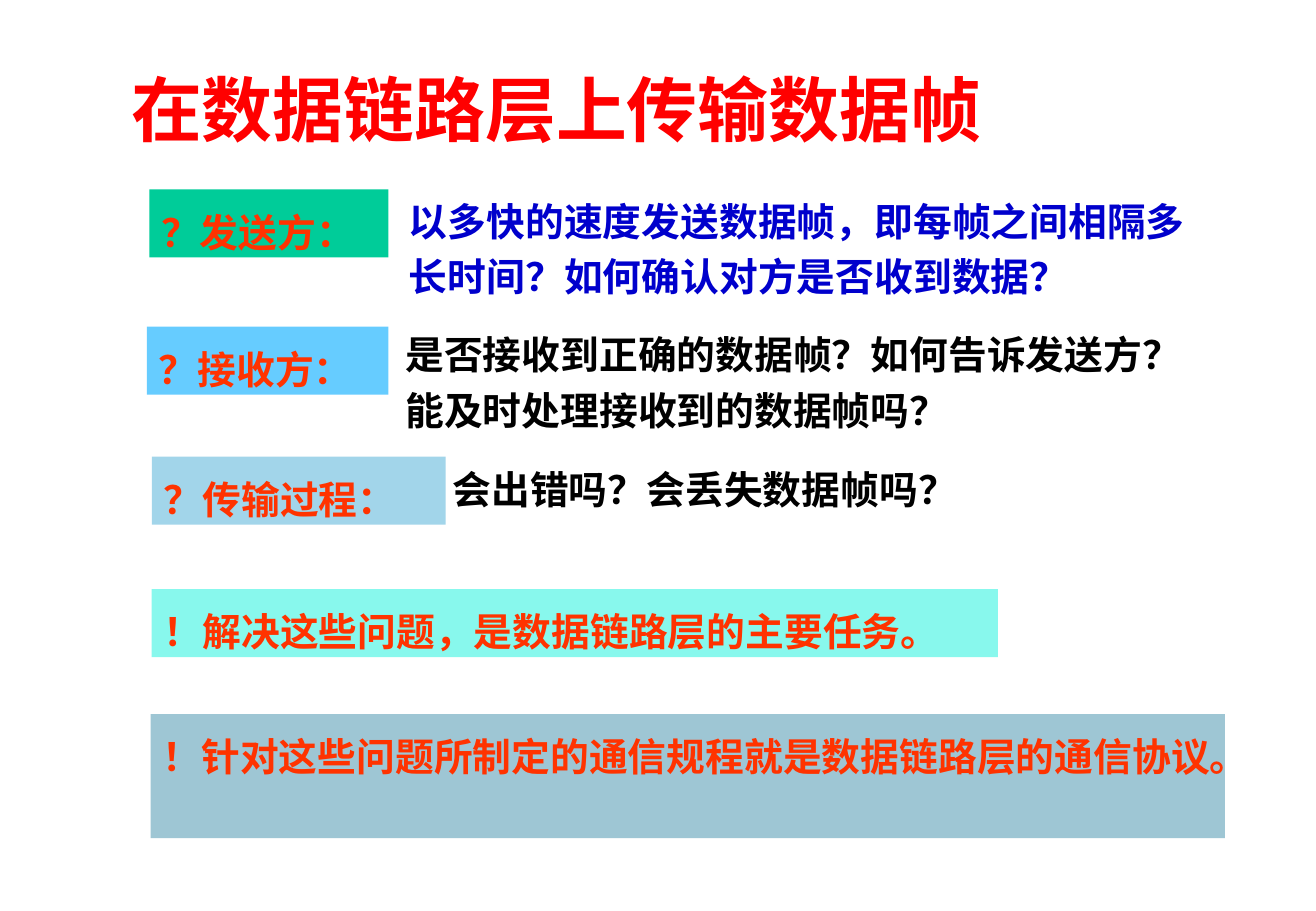
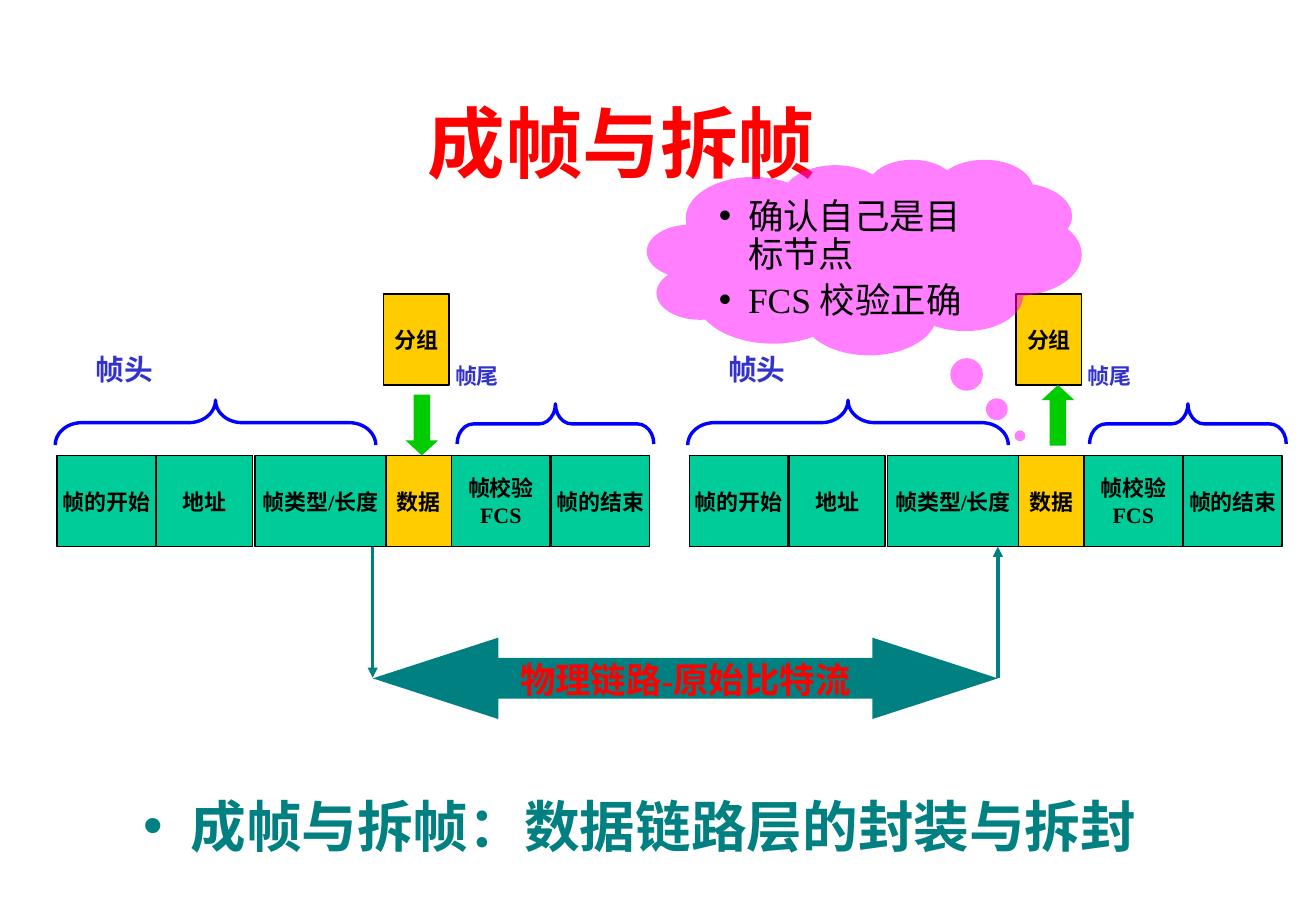
from pptx import Presentation
from pptx.dml.color import RGBColor
from pptx.enum import shapes, text
from pptx.oxml import ns
from pptx import util as u
from lxml import etree

SCALE = 9144
SHAPE = shapes.MSO_SHAPE
LEFT, CENTER = text.PP_ALIGN.LEFT, text.PP_ALIGN.CENTER
TOP, MIDDLE = text.MSO_ANCHOR.TOP, text.MSO_ANCHOR.MIDDLE
COLOURS = {
    "red": "FF0000", "orange": "FF3300", "navy": "0000CC", "blue": "0000FF",
    "indigo": "3333CC", "black": "000000", "green": "00CC99", "sky": "66CCFF",
    "pale": "A2D5EA", "aqua": "88F8ED", "steel": "9EC6D4", "gold": "FFCC00",
    "lime": "00CC00", "teal": "008080", "pink": "FF00FF",
}
SERIF, SANS, CHINESE = "Times New Roman", "Arial", "Noto Sans CJK SC"


def px(length):
    return u.Emu(length * SCALE)


def colour(name):
    return RGBColor.from_string(COLOURS[name])


def add_xml(parent, tag, **attributes):
    return etree.SubElement(parent, ns.qn(tag), attributes)


class Deck:
    def __init__(self, width, height):
        self.deck = Presentation()
        self.deck.slide_width, self.deck.slide_height = px(width), px(height)
        self.page = None

    def new_page(self):
        self.page = self.deck.slides.add_slide(self.deck.slide_layouts[5])

    def fill_text(self, box, words, size, ink, font=SERIF, bold=True, spacing=None,
                  before=0, align=LEFT, anchor=TOP, wrap=True, top=5, bullet=0):
        frame = box.text_frame
        frame_style = {
            "word_wrap": wrap, "auto_size": text.MSO_AUTO_SIZE.NONE,
            "vertical_anchor": anchor, "margin_left": px(10),
            "margin_right": px(10), "margin_top": px(top), "margin_bottom": px(5),
        }
        for name, value in frame_style.items():
            setattr(frame, name, value)
        for index, line in enumerate(words.split("\n")):
            para = frame.add_paragraph() if index else frame.paragraphs[0]
            para_style = {
                "alignment": align,
                "line_spacing": u.Pt(spacing) if spacing else 1.0,
                "space_before": u.Pt(before if index else 0),
            }
            for name, value in para_style.items():
                setattr(para, name, value)
            if bullet:
                properties = para._p.get_or_add_pPr()
                properties.set("marL", str(px(bullet)))
                properties.set("indent", str(-px(bullet)))
                add_xml(properties, "a:buFont", typeface=SANS)
                add_xml(properties, "a:buChar", char="•")
            span = para.add_run()
            span.text = line
            for name, value in {"size": u.Pt(size), "bold": bold, "name": font}.items():
                setattr(span.font, name, value)
            span.font.color.rgb = colour(ink)
            add_xml(span._r.get_or_add_rPr(), "a:ea", typeface=CHINESE)

    def title(self, words, at, size, **style):
        box = self.page.shapes.title
        for name, value in zip(("left", "top", "width", "height"), at):
            setattr(box, name, px(value))
        self.fill_text(box, words, size, "red", **style)

    def label(self, words, at, size, ink, **style):
        box = self.page.shapes.add_textbox(*map(px, at))
        self.fill_text(box, words, size, ink, **style)

    def shape(self, kind, at, fill=None, line=None, weight=0.75, adjust=(), turn=0):
        box = self.page.shapes.add_shape(kind, *map(px, at))
        box.shadow.inherit = False
        box.rotation = turn
        for index, value in enumerate(adjust):
            box.adjustments[index] = value
        if fill:
            box.fill.solid()
            box.fill.fore_color.rgb = colour(fill)
        else:
            box.fill.background()
        if line:
            box.line.color.rgb = colour(line)
            box.line.width = u.Pt(weight)
        else:
            box.line.fill.background()
        return box

    def banner(self, words, at, fill):
        box = self.shape(SHAPE.RECTANGLE, at, fill)
        self.fill_text(box, words, 23, "orange", font=SANS, spacing=33, top=8)

    def cell(self, words, at, fill):
        box = self.shape(SHAPE.RECTANGLE, at, fill, "black")
        self.fill_text(box, words, 13, "black", spacing=16, align=CENTER,
                       anchor=MIDDLE, wrap=False)

    def brace(self, left, top, width, height, bend):
        middle_x, middle_y = left + width // 2, top + height // 2
        at = (middle_x - height // 2, middle_y - width // 2, height, width)
        self.shape(SHAPE.LEFT_BRACE, at, line="blue", weight=2,
                   adjust=(bend, 0.5), turn=90)

    def arrow(self, x, start, end):
        line = self.page.shapes.add_connector(
            shapes.MSO_CONNECTOR.STRAIGHT, px(x), px(start), px(x), px(end))
        line.line.color.rgb = colour("teal")
        line.line.width = u.Pt(2)
        properties = line._element.spPr
        add_xml(properties.find(ns.qn("a:ln")), "a:tailEnd", type="triangle")
        add_xml(properties, "a:effectLst")

    def cloud(self, words, at):
        box = self.shape(SHAPE.CLOUD_CALLOUT, at, "pink", adjust=(0.358, 0.915))
        tint = box._element.spPr.find(ns.qn("a:solidFill"))[0]
        add_xml(tint, "a:alpha", val="50000")
        self.fill_text(box, words, 21, "black", bold=False, spacing=22.5,
                       before=5.2, top=8, bullet=24)


def questions_page(deck):
    deck.new_page()
    deck.title("在数据链路层上传输数据帧", (98, 44, 795, 81), 42, spacing=54)
    banners = (
        ("？发送方：", (123, 156, 197, 56), "green"),
        ("？接收方：", (121, 269, 199, 56), "sky"),
        ("？传输过程：", (125, 376, 242, 56), "pale"),
        ("！解决这些问题，是数据链路层的主要任务。", (125, 485, 697, 56), "aqua"),
        ("！针对这些问题所制定的通信规程就是数据链路层的通信协议。",
         (124, 588, 885, 102), "steel"),
    )
    for words, at, fill in banners:
        deck.banner(words, at, fill)
    answers = (
        ("以多快的速度发送数据帧，即每帧之间相隔多长时间？如何确认对方是否收到数据？",
         (327, 147, 668, 102), "navy"),
        ("是否接收到正确的数据帧？如何告诉发送方？能及时处理接收到的数据帧吗？",
         (324, 257, 678, 102), "black"),
        ("会出错吗？会丢失数据帧吗？", (363, 368, 478, 56), "black"),
    )
    for words, at, ink in answers:
        deck.label(words, at, 23, ink, font=SANS, spacing=33, top=8)


def frame_diagram(deck, shift):
    cells = (
        ("帧的开始", 47, 81, "green"), ("地址", 129, 79, "green"),
        ("帧类型/长度", 210, 108, "green"), ("数据", 318, 54, "gold"),
        ("帧校验\nFCS", 372, 81, "green"), ("帧的结束", 454, 81, "green"),
    )
    for words, left, width, fill in cells:
        deck.cell(words, (left + shift, 375, width, 75), fill)
    deck.cell("分组", (316 + shift, 242, 54, 75), "gold")
    deck.brace(45 + shift, 330, 264, 37, 0.59)
    deck.label("帧头", (69 + shift, 285, 196, 36), 17, "indigo", spacing=20)
    deck.brace(376 + shift, 333, 162, 33, 0.41)
    deck.label("帧尾", (365 + shift, 293, 196, 30), 13, "indigo", spacing=16)


def framing_page(deck):
    deck.new_page()
    deck.title("成帧与拆帧 ", (63, 58, 912, 117), 46, align=CENTER, anchor=MIDDLE)
    deck.label("成帧与拆帧：数据链路层的封装与拆封", (108, 642, 939, 75), 33, "teal",
               spacing=43, bullet=39)
    for shift in (0, 521):
        frame_diagram(deck, shift)
    deck.shape(SHAPE.DOWN_ARROW, (334, 325, 27, 50), "lime", adjust=(0.5, 0.461))
    deck.shape(SHAPE.UP_ARROW, (858, 317, 27, 50), "lime", adjust=(0.5, 0.461))
    link = deck.shape(SHAPE.LEFT_RIGHT_ARROW, (307, 525, 515, 67), "teal",
                      adjust=(0.5, 1.544))
    deck.fill_text(link, "物理链路-原始比特流", 21, "red", spacing=26, align=CENTER,
                   anchor=MIDDLE, wrap=False)
    deck.arrow(307, 450, 558)
    deck.arrow(822, 558, 450)
    deck.cloud("确认自己是目标节点\nFCS 校验正确", (533, 131, 358, 161))


def main():
    deck = Deck(1084, 750)
    questions_page(deck)
    framing_page(deck)
    deck.deck.save("out.pptx")


if __name__ == "__main__":
    main()
